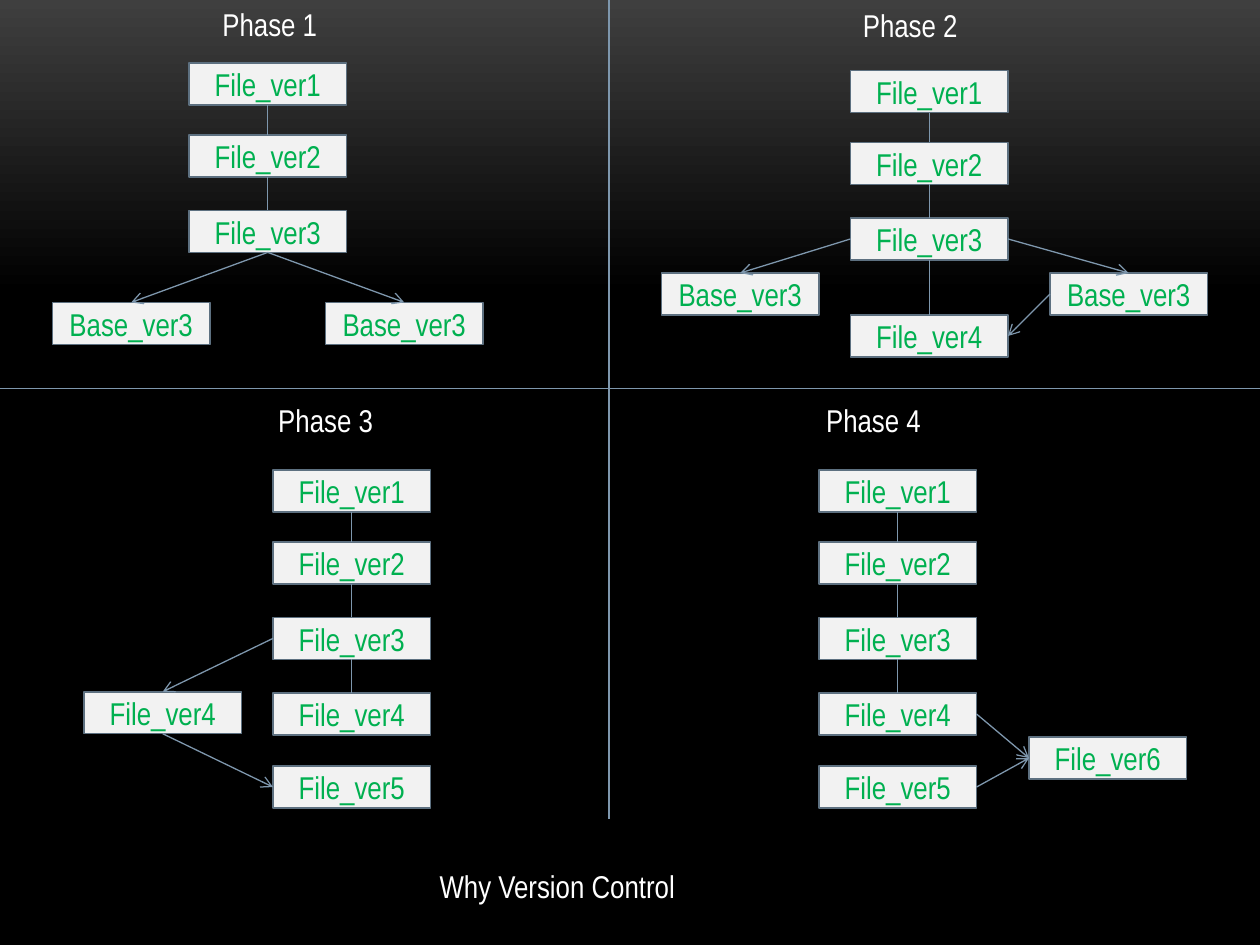
from itertools import pairwise

from lxml.etree import SubElement
from pptx import Presentation
from pptx.dml.color import RGBColor
from pptx.enum.shapes import MSO_CONNECTOR, MSO_SHAPE
from pptx.enum.text import MSO_ANCHOR, MSO_AUTO_SIZE, PP_ALIGN
from pptx.oxml.ns import qn
from pptx.util import Inches, Pt

CHARCOAL = RGBColor(0x3F, 0x3F, 0x3F)
BLACK = RGBColor(0x00, 0x00, 0x00)
WHITE = RGBColor(0xFF, 0xFF, 0xFF)
PALE_GREY = RGBColor(0xF2, 0xF2, 0xF2)
GREEN = RGBColor(0x00, 0xB0, 0x50)
SLATE = RGBColor(0x5D, 0x70, 0x80)
STEEL = RGBColor(0x7E, 0x97, 0xAD)

COLUMNS, ROWS = 120, 90
BOX_COLUMNS, BOX_ROWS = 15, 4
VERSION_ROWS = (0, 6.84, 14.04, 21.24, 28.2)
TOP, LEFT, BOTTOM, RIGHT = range(4)


class VersionDiagram:
    font_name = "Arial Narrow"
    font_size = Pt(18)

    def __init__(self, presentation):
        self.column = presentation.slide_width / COLUMNS
        self.row = presentation.slide_height / ROWS
        self.slide = presentation.slides.add_slide(presentation.slide_layouts[6])

    def place(self, column, row):
        return round(column * self.column), round(row * self.row)

    def background(self):
        fill = self.slide.background.fill
        fill.gradient()
        fill.gradient_angle = 270
        for stop, color, position in zip(fill.gradient_stops, (CHARCOAL, BLACK), (0, 0.31)):
            stop.color.rgb = color
            stop.position = position

    def add_text(self, paragraph, text, color):
        run = paragraph.add_run()
        run.text = text
        run.font.name = self.font_name
        run.font.size = self.font_size
        run.font.color.rgb = color

    def label(self, text, column, row, columns):
        shape = self.slide.shapes.add_textbox(*self.place(column, row), *self.place(columns, 4.8))
        shape.text_frame.word_wrap = True
        shape.text_frame.auto_size = MSO_AUTO_SIZE.SHAPE_TO_FIT_TEXT
        self.add_text(shape.text_frame.paragraphs[0], text, WHITE)

    def box(self, text, column, row):
        shape = self.slide.shapes.add_shape(
            MSO_SHAPE.RECTANGLE, *self.place(column, row), *self.place(BOX_COLUMNS, BOX_ROWS)
        )
        shape.shadow.inherit = False
        shape.fill.solid()
        shape.fill.fore_color.rgb = PALE_GREY
        shape.line.color.rgb = SLATE
        shape.line.width = Pt(0.85)
        shape.text_frame.vertical_anchor = MSO_ANCHOR.MIDDLE
        paragraph = shape.text_frame.paragraphs[0]
        paragraph.alignment = PP_ALIGN.CENTER
        self.add_text(paragraph, text, GREEN)
        return shape

    def line(self, start=(0, 0), end=(0, 0)):
        connector = self.slide.shapes.add_connector(
            MSO_CONNECTOR.STRAIGHT, *self.place(*start), *self.place(*end)
        )
        connector.line.color.rgb = STEEL
        connector.line.width = Pt(0.75)
        SubElement(connector._element.spPr, qn("a:effectLst"))
        return connector

    def link(self, source, source_side, target, target_side):
        connector = self.line()
        connector.begin_connect(source, source_side)
        connector.end_connect(target, target_side)
        return connector

    def arrow(self, source, source_side, target, target_side):
        connector = self.link(source, source_side, target, target_side)
        outline = connector._element.spPr.find(qn("a:ln"))
        SubElement(outline, qn("a:tailEnd"), type="arrow")

    def versions(self, column, row, count, linked):
        boxes = [
            self.box(f"File_ver{number}", column, row + offset)
            for number, offset in enumerate(VERSION_ROWS[:count], 1)
        ]
        for upper, lower in pairwise(boxes[:linked]):
            self.link(upper, BOTTOM, lower, TOP)
        return boxes


def main():
    presentation = Presentation()
    presentation.slide_width, presentation.slide_height = Inches(10), Inches(7.5)
    diagram = VersionDiagram(presentation)
    diagram.background()
    diagram.line((58, 0), (58, 78))
    diagram.line((0, 37), (COLUMNS, 37))

    first = diagram.versions(18, 6, 3, 3)
    for column in (5, 31):
        base = diagram.box("Base_ver3", column, 28.8)
        diagram.arrow(first[2], BOTTOM, base, TOP)

    second = diagram.versions(81, 6.72, 3, 3)
    merged = diagram.box("File_ver4", 81, 30)
    diagram.link(second[2], BOTTOM, merged, TOP)
    for column, side in ((63, LEFT), (100, RIGHT)):
        base = diagram.box("Base_ver3", column, 26)
        diagram.arrow(second[2], side, base, TOP)
    diagram.arrow(base, LEFT, merged, RIGHT)

    third = diagram.versions(26, 44.76, 5, 4)
    branch = diagram.box("File_ver4", 8, 65.88)
    diagram.arrow(third[2], LEFT, branch, TOP)
    diagram.arrow(branch, BOTTOM, third[4], LEFT)

    fourth = diagram.versions(78, 44.76, 5, 4)
    result = diagram.box("File_ver6", 98, 70.2)
    for version in fourth[3:]:
        diagram.arrow(version, RIGHT, result, LEFT)

    for text, column, row, columns in (
        ("Phase 1", 20, -0.12, 15),
        ("Phase 2", 81, 0, 24),
        ("Phase 3", 25.32, 37.56, 33.48),
        ("Phase 4", 77.5, 37.6, 41),
        ("Why Version Control", 40.68, 82, 29.88),
    ):
        diagram.label(text, column, row, columns)

    presentation.save("out.pptx")


if __name__ == "__main__":
    main()
